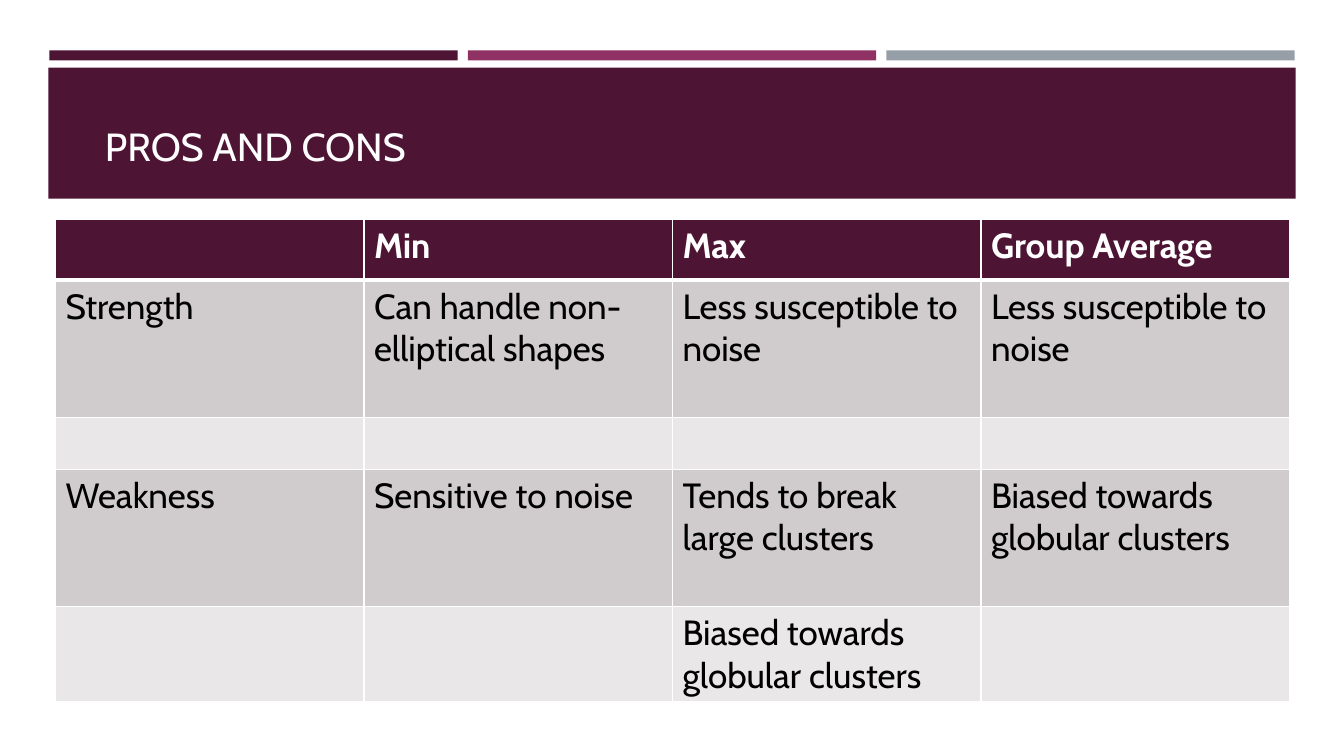
"""Build the pros and cons slide comparing three linkage methods."""
from lxml.etree import SubElement
from pptx import Presentation
from pptx.dml.color import RGBColor
from pptx.enum.shapes import MSO_SHAPE
from pptx.enum.text import MSO_ANCHOR, PP_ALIGN
from pptx.oxml.ns import qn
from pptx.util import Pt

TITLE = "PROS AND CONS"
ROWS = [
    ["", "Min", "Max", "Group Average"],
    ["Strength", "Can handle non-elliptical shapes",
     "Less susceptible to noise", "Less susceptible to noise"],
    ["", "", "", ""],
    ["Weakness", "Sensitive to noise",
     "Tends to break large clusters", "Biased towards globular clusters"],
    ["", "", "Biased towards globular clusters", ""],
]
ROW_HEIGHTS = [60, 136, 52, 136, 94]
COLUMN_WIDTH = 306
COLORS = {
    "plum": "4D1434", "berry": "903163", "slate": "969FA7",
    "white": "FFFFFF", "black": "000000", "odd": "D0CCCE", "even": "E9E7E8",
}
STRIPES = ["plum", "berry", "slate"]
STRIPE_LEFT, STRIPE_WIDTH, STRIPE_STEP = 49, 405, 415
FONT = "Cabin"
EMU_PER_PX = 9144


def px(length):
    return length * EMU_PER_PX


def rgb(name):
    return RGBColor.from_string(COLORS[name])


def write(paragraph, text, size, color, bold=False):
    run = paragraph.add_run()
    run.text = text
    run.font.name = FONT
    run.font.size = Pt(size)
    run.font.bold = bold
    run.font.color.rgb = rgb(color)


def add_block(slide, color, left, top, width, height):
    block = slide.shapes.add_shape(
        MSO_SHAPE.RECTANGLE, px(left), px(top), px(width), px(height))
    block.shadow.inherit = False
    block.fill.solid()
    block.fill.fore_color.rgb = rgb(color)
    block.line.fill.background()
    slide.shapes.title.element.addprevious(block.element)


def add_borders(cell, top, bottom):
    properties = cell._tc.get_or_add_tcPr()
    for side, points in (("L", 1), ("R", 1), ("T", top), ("B", bottom)):
        border = SubElement(properties, qn(f"a:ln{side}"), w=str(Pt(points)))
        fill = SubElement(border, qn("a:solidFill"))
        SubElement(fill, qn("a:srgbClr"), val=COLORS["white"])


def add_title(slide):
    title = slide.shapes.title
    title.left, title.top, title.width, title.height = map(px, (94, 113, 906, 60))
    title.text_frame.vertical_anchor = MSO_ANCHOR.BOTTOM
    paragraph = title.text_frame.paragraphs[0]
    paragraph.alignment = PP_ALIGN.LEFT
    write(paragraph, TITLE, 28, "white")


def add_comparison(slide):
    columns = len(ROWS[0])
    comparison = slide.shapes.add_table(
        len(ROWS), columns, px(55), px(218),
        px(COLUMN_WIDTH * columns), px(sum(ROW_HEIGHTS))).table
    for column in comparison.columns:
        column.width = px(COLUMN_WIDTH)
    for r, (texts, height) in enumerate(zip(ROWS, ROW_HEIGHTS)):
        comparison.rows[r].height = px(height)
        header = r == 0
        band = "plum" if header else "odd" if r % 2 else "even"
        for c, text in enumerate(texts):
            cell = comparison.cell(r, c)
            add_borders(cell, 3 if r == 1 else 1, 3 if header else 1)
            cell.fill.solid()
            cell.fill.fore_color.rgb = rgb(band)
            if text:
                write(cell.text_frame.paragraphs[0], text, 25,
                      "white" if header else "black", header)


def main():
    deck = Presentation()
    deck.slide_width, deck.slide_height = px(1333), px(750)
    slide = deck.slides.add_slide(deck.slide_layouts[5])
    for i, color in enumerate(STRIPES):
        add_block(slide, color, STRIPE_LEFT + i * STRIPE_STEP, 50, STRIPE_WIDTH, 10)
    add_block(slide, "plum", 48, 67, 1237, 130)
    add_title(slide)
    add_comparison(slide)
    deck.save("out.pptx")


if __name__ == "__main__":
    main()
